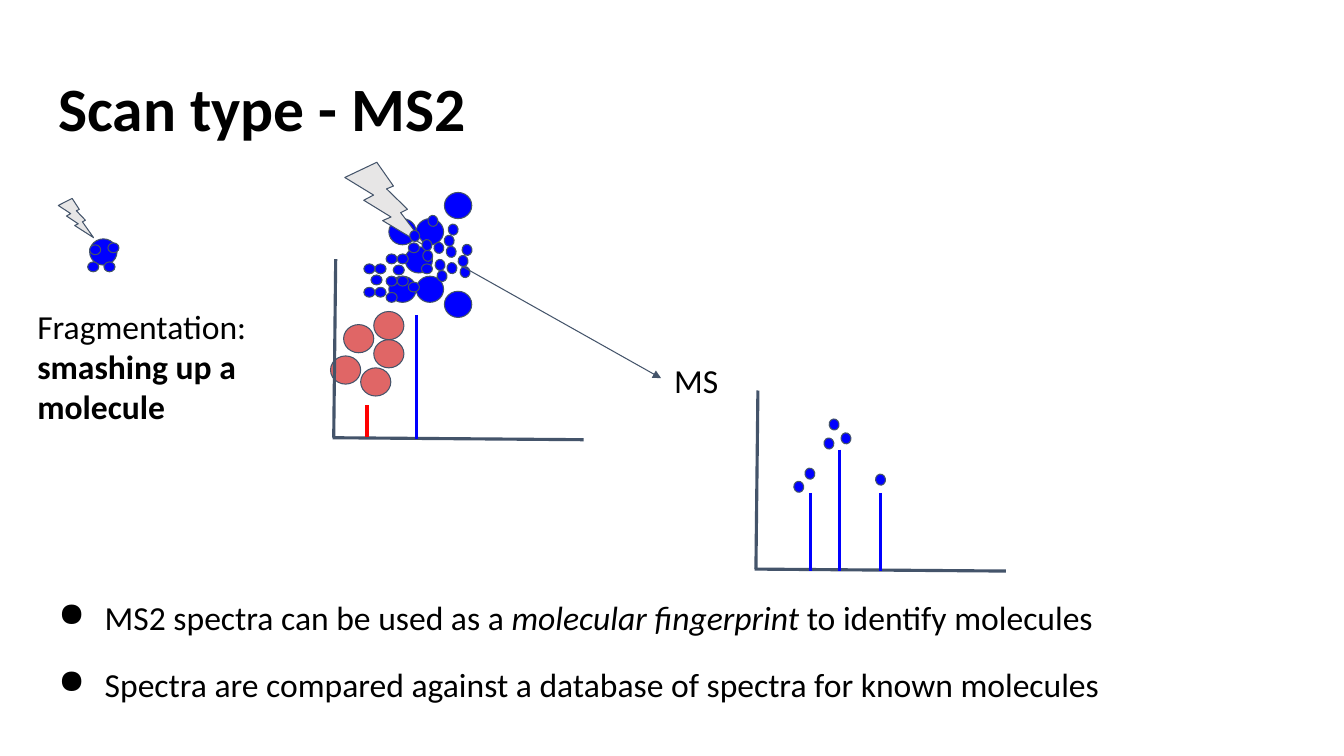
from dataclasses import dataclass

from lxml import etree
from pptx import Presentation
from pptx.dml.color import RGBColor
from pptx.enum.shapes import MSO_CONNECTOR, MSO_SHAPE
from pptx.enum.text import MSO_ANCHOR, PP_ALIGN
from pptx.oxml.ns import qn
from pptx.util import Cm, Pt

OVAL = MSO_SHAPE.OVAL
BOLT = MSO_SHAPE.LIGHTNING_BOLT
STRAIGHT = MSO_CONNECTOR.STRAIGHT
TOP = MSO_ANCHOR.TOP
LEFT = PP_ALIGN.LEFT

BLACK = RGBColor(0x00, 0x00, 0x00)
BLUE = RGBColor(0x00, 0x00, 0xFF)
RED = RGBColor(0xFF, 0x00, 0x00)
ROSE = RGBColor(0xE0, 0x66, 0x66)
SLATE = RGBColor(0x44, 0x54, 0x6A)
SILVER = RGBColor(0xE7, 0xE6, 0xE6)

FONT = "Calibri"
INSET = Cm(0.33)
BULLET_INDENT = Cm(1.17)
BULLET_MARGIN = Cm(1.7)

Point = tuple[float, float]


@dataclass(frozen=True)
class Particles:
    width: float
    height: float
    fill: RGBColor
    places: tuple[Point, ...]
    rotation: float = 0
    preset: MSO_SHAPE = OVAL


@dataclass(frozen=True)
class Stroke:
    start: Point
    end: Point
    color: RGBColor = SLATE
    weight: float = 2.25
    arrow: bool = False


@dataclass(frozen=True)
class Span:
    text: str
    bold: bool = False
    italic: bool = False


def fragments(*places: Point, rotation: float = 0) -> Particles:
    return Particles(0.28, 0.25, BLUE, places, rotation)


def molecules(*places: Point) -> Particles:
    return Particles(0.69, 0.66, BLUE, places)


def peak(x: float, top: float, base: float, color: RGBColor = BLUE) -> Stroke:
    return Stroke((x, top), (x, base), color)


def axes(x: float, y: float) -> list[Stroke]:
    return [
        Stroke((x, y), (x - 0.05, y + 4.5)),
        Stroke((x - 0.08, y + 4.5), (x + 6.25, y + 4.55)),
    ]


def draw_particles(page, group: Particles) -> None:
    for left, top in group.places:
        shape = page.shapes.add_shape(
            group.preset, Cm(left), Cm(top), Cm(group.width), Cm(group.height)
        )
        shape.shadow.inherit = False
        shape.rotation = group.rotation
        shape.fill.solid()
        shape.fill.fore_color.rgb = group.fill
        shape.line.color.rgb = SLATE
        shape.line.width = Pt(0.75)


def draw_stroke(page, stroke: Stroke) -> None:
    points = [Cm(value) for value in stroke.start + stroke.end]
    connector = page.shapes.add_connector(STRAIGHT, *points)
    connector.line.color.rgb = stroke.color
    connector.line.width = Pt(stroke.weight)
    if stroke.arrow:
        outline = connector.line._get_or_add_ln()
        etree.SubElement(outline, qn("a:tailEnd"), type="triangle")
    etree.SubElement(connector._element.spPr, qn("a:effectLst"))


def add_text(
    page,
    paragraphs: list[list[Span]],
    *,
    left: float,
    top: float,
    width: float,
    height: float,
    size: float = 24,
    wrap: bool = True,
    bullet: str = "",
    line_spacing: float = 1.0,
    gap: float = 0,
) -> None:
    box = page.shapes.add_textbox(Cm(left), Cm(top), Cm(width), Cm(height))
    frame = box.text_frame
    frame.word_wrap = wrap
    frame.vertical_anchor = TOP
    frame.margin_left = frame.margin_right = INSET
    frame.margin_top = frame.margin_bottom = INSET
    for index, spans in enumerate(paragraphs):
        para = frame.add_paragraph() if index else frame.paragraphs[0]
        if bullet:
            properties = para._p.get_or_add_pPr()
            properties.set("marL", str(BULLET_MARGIN))
            properties.set("indent", str(-BULLET_INDENT))
            etree.SubElement(properties, qn("a:buChar"), char=bullet)
        para.alignment = LEFT
        para.line_spacing = line_spacing
        if index:
            para.space_before = Pt(gap)
        for span in spans:
            run = para.add_run()
            run.text = span.text
            run.font.name = FONT
            run.font.size = Pt(size)
            run.font.bold = span.bold
            run.font.italic = span.italic
            run.font.color.rgb = BLACK


FIRST_SPECTRUM = [
    *axes(8.46, 6.53),
    peak(9.25, 10.21, 11.02, RED),
    peak(10.49, 7.95, 11.07),
]
SECOND_SPECTRUM = [
    *axes(19.1, 9.84),
    peak(20.42, 12.42, 14.4),
    peak(21.16, 11.33, 14.4),
    peak(22.2, 12.42, 14.4),
]
SCAN_ARROW = Stroke((11.68, 6.73), (16.66, 9.53), weight=0.75, arrow=True)

INTACT = [
    Particles(0.76, 0.71, ROSE, (
        (8.66, 8.18), (8.33, 8.97), (9.42, 8.56), (9.09, 9.27), (9.42, 7.85),
    )),
    molecules((9.8, 5.51), (10.49, 5.51), (10.21, 6.22), (2.26, 6.02)),
]
SMASHED = [
    molecules((9.8, 6.96), (10.49, 6.96), (11.2, 4.85), (11.2, 7.34)),
    fragments((2.62, 6.6), (2.21, 6.6), (2.26, 6.17), (2.72, 6.12)),
    Particles(0.89, 0.99, SILVER, ((1.47, 5.0),), preset=BOLT),
    Particles(2.06, 2.13, SILVER, ((8.69, 4.09),), preset=BOLT),
    fragments(
        (9.17, 6.65), (9.45, 6.65), (9.35, 6.93), (9.17, 7.24), (9.45, 7.24),
        (10.62, 6.65), (9.73, 7.37), (9.73, 6.4), (10.01, 6.4), (9.91, 6.68),
        (9.73, 6.96), (10.01, 6.96), (10.29, 6.12), (10.29, 7.11),
    ),
    fragments(
        (11.0, 6.83), (10.95, 6.55), (11.25, 6.63), (11.58, 6.73), (11.53, 6.45),
        (10.77, 5.44), (11.63, 6.17), (10.64, 6.32), (10.62, 6.05), (10.92, 6.12),
        (11.23, 6.22), (11.18, 5.94), (10.31, 5.82), (11.28, 5.66),
        (19.99, 12.14), (20.27, 11.81), (20.75, 11.05), (20.88, 10.57),
        (21.18, 10.92), (22.05, 11.96),
        rotation=260.6,
    ),
]


def main() -> None:
    deck = Presentation()
    deck.slide_width = Cm(33.87)
    deck.slide_height = Cm(19.05)
    page = deck.slides.add_slide(deck.slide_layouts[6])

    add_text(page, [[Span("Scan type - MS2", bold=True)]],
             left=1.14, top=1.65, width=31.55, height=2.13, size=44, line_spacing=0.9)
    for group in INTACT:
        draw_particles(page, group)
    for stroke in FIRST_SPECTRUM:
        draw_stroke(page, stroke)
    for group in SMASHED:
        draw_particles(page, group)
    for stroke in [*SECOND_SPECTRUM, SCAN_ARROW]:
        draw_stroke(page, stroke)

    add_text(page, [[Span("Fragmentation: "), Span("smashing up a molecule", bold=True)]],
             left=0.61, top=7.37, width=6.1, height=3.05)
    add_text(page, [[Span("MS")]], left=16.66, top=8.74, width=1.8, height=1.55, wrap=False)
    findings = [
        [
            Span("MS2 spectra can be used as a "),
            Span("molecular fingerprint", italic=True),
            Span(" to identify molecules"),
        ],
        [Span("Spectra are compared against a database of spectra for known molecules")],
    ]
    add_text(page, findings, left=0.61, top=14.71, width=32.89, height=3.86,
             bullet="●", gap=19)
    deck.save("out.pptx")


if __name__ == "__main__":
    main()
